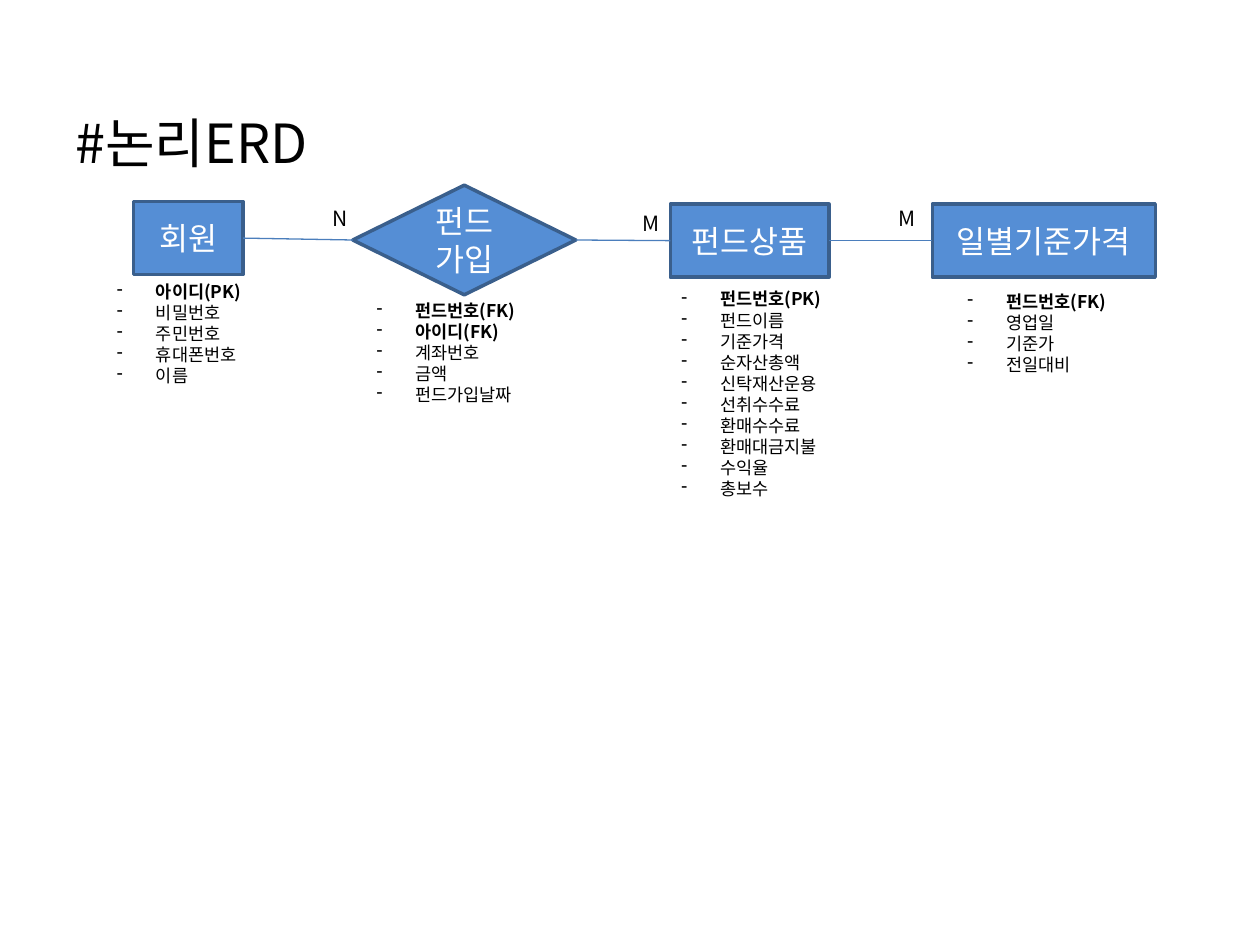
from pptx import Presentation
from pptx.dml.color import RGBColor
from pptx.enum.shapes import MSO_CONNECTOR, MSO_SHAPE
from pptx.enum.text import MSO_ANCHOR, MSO_AUTO_SIZE, PP_ALIGN
from pptx.oxml.ns import qn
from pptx.util import Inches, Pt
from lxml.etree import SubElement

BLUE = RGBColor(0x55, 0x8E, 0xD5)
EDGE = RGBColor(0x3A, 0x5F, 0x8C)
LINK = RGBColor(0x4B, 0x7E, 0xBC)
WHITE = RGBColor(255, 255, 255)
BLACK = RGBColor(0, 0, 0)
FONT = "Noto Sans CJK KR"

WIDE, HIGH = Inches(10), Inches(7.5)
COL, ROW = WIDE / 10, HIGH / 7.5  # grid unit
LEFT, RIGHT = 1, 3  # connection sites

# shape, name, box, list shift from the box's lower left, list width, fields
RECT, RHOMB = MSO_SHAPE.RECTANGLE, MSO_SHAPE.DIAMOND
PARTS = [
    (RECT, "회원", (1.06, 1.6, 0.87, 0.58), (-0.23, 0), 1.57,
     ["아이디(PK)", "비밀번호", "주민번호", "휴대폰번호", "이름"]),
    (RHOMB, "펀드가입", (2.8, 1.47, 1.77, 0.87), (0.09, -0.01), 1.57,
     ["펀드번호(FK)", "아이디(FK)", "계좌번호", "금액", "펀드가입날짜"]),
    (RECT, "펀드상품", (5.32, 1.62, 1.26, 0.58), (-0.01, 0.04), 1.42,
     ["펀드번호(PK)", "펀드이름", "기준가격", "순자산총액", "신탁재산운용",
      "선취수수료", "환매수수료", "환매대금지불", "수익율", "총보수"]),
    (RECT, "일별기준가격", (7.4, 1.62, 1.77, 0.58), (0.18, 0.06), 1.42,
     ["펀드번호(FK)", "영업일", "기준가", "전일대비"]),
]
# label and its shift from the end of each link
MARKS = [("N", -0.26, -0.32), ("M", -0.32, -0.29), ("M", -0.37, -0.33)]


def place(box):
    """Turn columns and rows into slide lengths."""
    x, y, w, h = box
    return [round(n) for n in (x * COL, y * ROW, w * COL, h * ROW)]


def setup(item, **form):
    """Set each format value on the item."""
    for key, val in form.items():
        setattr(item, key, val)


def write(frame, lines, size, tint, align=PP_ALIGN.LEFT):
    """Write one paragraph per line; return the paragraphs."""
    frame.text = "\n".join(lines)
    for para in frame.paragraphs:
        para.alignment = align
        for run in para.runs:
            setup(run.font, size=Pt(size), name=FONT)
            run.font.color.rgb = tint
            face = SubElement(run.font._element, qn("a:ea"))
            face.set("typeface", FONT)
    return frame.paragraphs


def label(slide, box, lines, size, **form):
    """Add a text box; return its paragraphs."""
    frame = slide.shapes.add_textbox(*place(box)).text_frame
    setup(frame, word_wrap=True, **form)
    return write(frame, lines, size, BLACK)


def fields(slide, box, names):
    """List the fields with dashes, keys in bold."""
    paras = label(slide, box, names, 10, auto_size=MSO_AUTO_SIZE.SHAPE_TO_FIT_TEXT)
    for para, name in zip(paras, names):
        para.runs[0].font.bold = name.endswith("K)")
        props = para._p.get_or_add_pPr()
        props.set("marL", str(Inches(0.31)))
        props.set("indent", str(-Inches(0.31)))
        SubElement(props, qn("a:buChar")).set("char", "-")


def entity(slide, kind, name, box, shift, width, names):
    """Draw a node in its box with its fields below."""
    node = slide.shapes.add_shape(kind, *place(box))
    node.shadow.inherit = False
    node.fill.solid()
    node.fill.fore_color.rgb = BLUE
    node.line.color.rgb = EDGE
    node.line.width = Pt(2)
    setup(node.text_frame, word_wrap=True, vertical_anchor=MSO_ANCHOR.MIDDLE)
    write(node.text_frame, [name], 18, WHITE, PP_ALIGN.CENTER)
    x, y, _, h = box
    tall = 0.1 + 0.168 * len(names)
    fields(slide, (x + shift[0], y + h + shift[1], width, tall), names)
    return node


def link(slide, start, end, mark, dx, dy):
    """Join two nodes and label the far end."""
    line = slide.shapes.add_connector(MSO_CONNECTOR.STRAIGHT, 0, 0, 0, 0)
    line.begin_connect(start, RIGHT)
    line.end_connect(end, LEFT)
    line.line.color.rgb = LINK
    line.line.width = Pt(0.75)
    SubElement(line._element.spPr, qn("a:effectLst"))
    box = (line.end_x / COL + dx, line.end_y / ROW + dy, 0.33, 0.3)
    label(slide, box, [mark], 12, auto_size=MSO_AUTO_SIZE.SHAPE_TO_FIT_TEXT)


def diagram(slide):
    """Draw the row of entities and the links between them."""
    nodes = [entity(slide, *part) for part in PARTS]
    for start, end, mark in zip(nodes, nodes[1:], MARKS):
        link(slide, start, end, *mark)


deck = Presentation()
setup(deck, slide_width=WIDE, slide_height=HIGH)
page = deck.slides.add_slide(deck.slide_layouts[6])
label(page, (0.5, 0.3, 9, 1.13), ["#논리ERD"], 30.8, vertical_anchor=MSO_ANCHOR.BOTTOM)
diagram(page)
deck.save("out.pptx")
